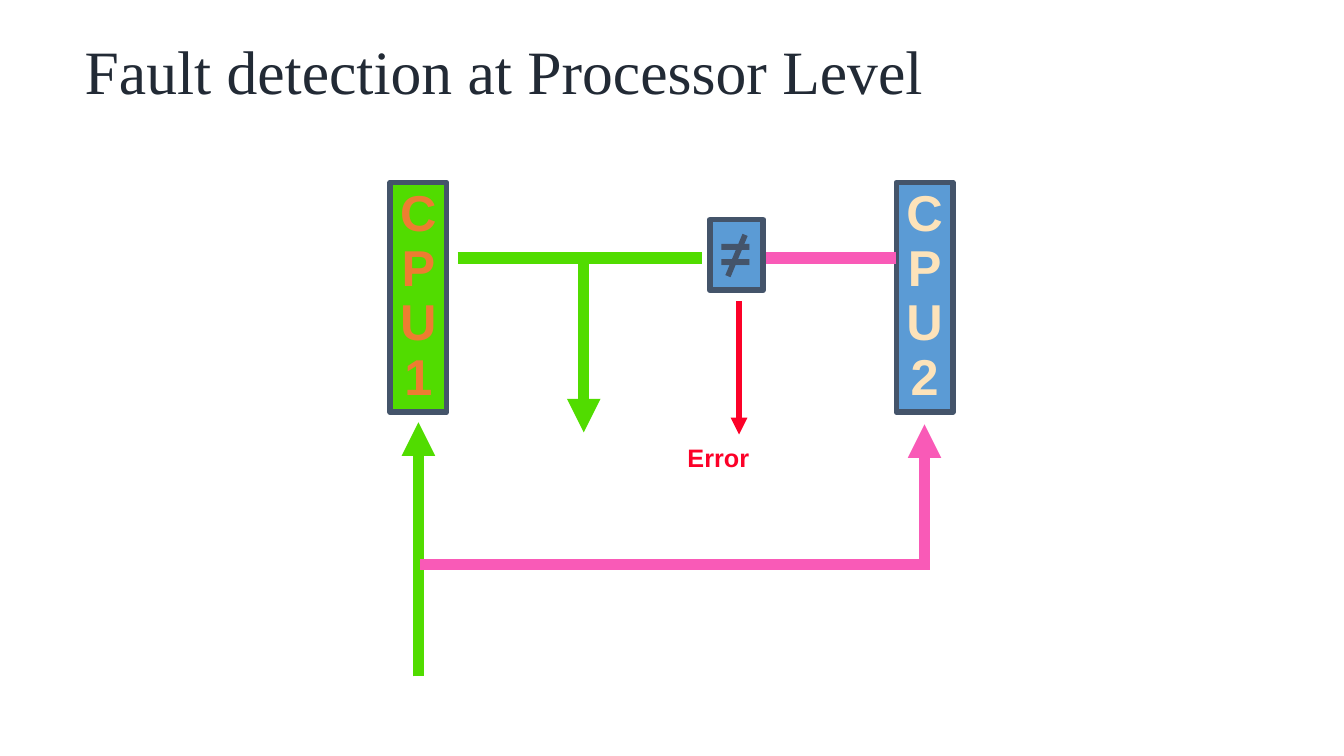
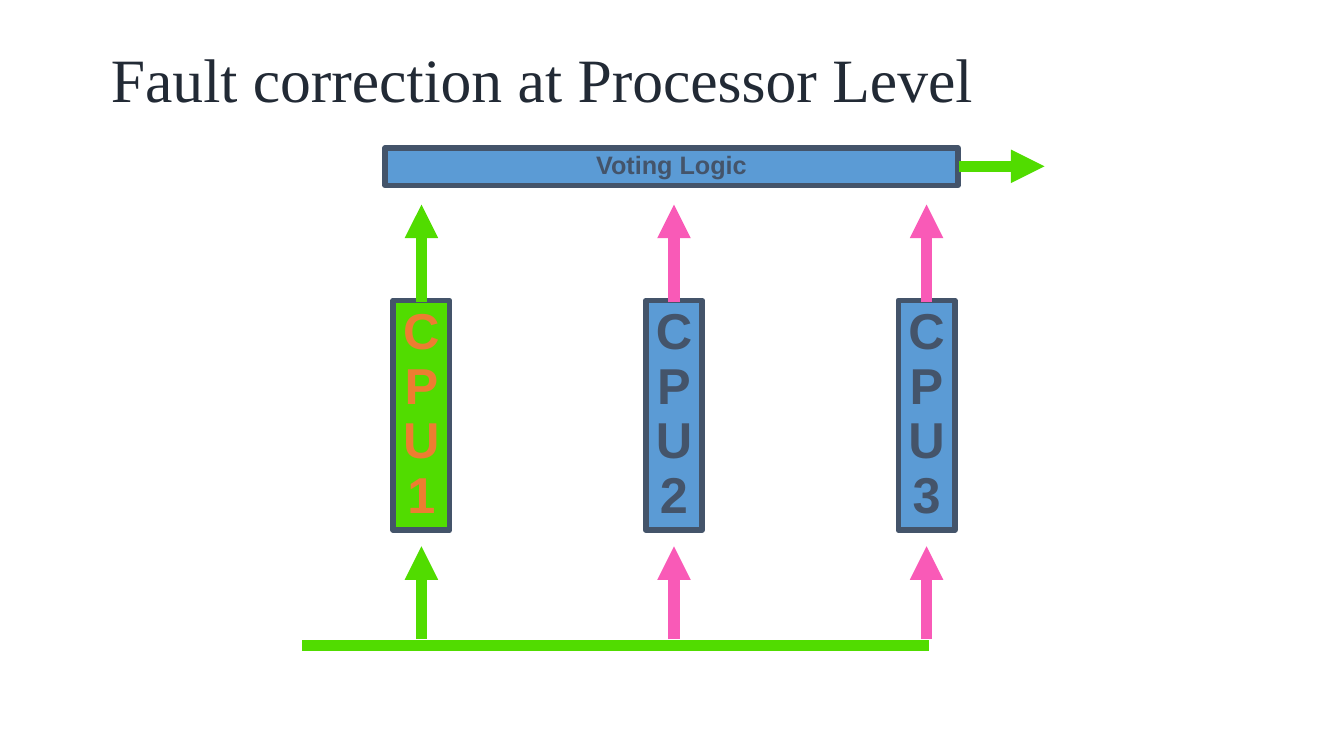
from dataclasses import dataclass
from typing import NamedTuple

from lxml import etree
from pptx import Presentation
from pptx.dml.color import RGBColor
from pptx.enum.shapes import MSO_CONNECTOR, MSO_SHAPE
from pptx.enum.text import MSO_ANCHOR, MSO_AUTO_SIZE, PP_ALIGN
from pptx.oxml.ns import qn
from pptx.util import Inches, Pt

STRAIGHT = MSO_CONNECTOR.STRAIGHT
RECTANGLE = MSO_SHAPE.RECTANGLE
LEFT, CENTER = PP_ALIGN.LEFT, PP_ALIGN.CENTER
MIDDLE = MSO_ANCHOR.MIDDLE
NO_AUTOFIT = MSO_AUTO_SIZE.NONE
TITLE_ONLY = 5


@dataclass(frozen=True)
class Theme:
    green: str = "51DC00"
    pink: str = "F95AB7"
    blue: str = "5B9BD5"
    slate: str = "44546A"
    red: str = "FC0128"
    orange: str = "ED7D31"
    cream: str = "FDE3BA"
    title_ink: str = "222A35"
    title_font: str = "Times New Roman"
    label_font: str = "Arial"
    title_size: int = 44
    symbol_size: int = 40
    cpu_size: int = 36
    label_size: int = 18
    bus_width: int = 8
    outline: int = 4
    line_spacing: float = 0.9


THEME = Theme()
CPU_WIDTH, CPU_HEIGHT = 0.56, 2.28


class Area(NamedTuple):
    left: float
    top: float
    width: float
    height: float


class TextStyle(NamedTuple):
    size: int
    color: str
    font: str = THEME.label_font
    bold: bool = True
    align: PP_ALIGN = CENTER


class Cpu(NamedTuple):
    number: int
    center: float
    fill: str
    ink: str
    signal: str = THEME.green


class Signal(NamedTuple):
    start: tuple[float, float]
    end: tuple[float, float]
    color: str
    arrow: bool = True
    width: int = THEME.bus_width


def rgb(color: str) -> RGBColor:
    return RGBColor.from_string(color)


def write_lines(frame, lines: list[str], style: TextStyle, wrap: bool = False) -> None:
    frame.auto_size = NO_AUTOFIT
    frame.word_wrap = wrap
    frame.vertical_anchor = MIDDLE
    frame.text = "\n".join(lines)
    for paragraph in frame.paragraphs:
        paragraph.alignment = style.align
        paragraph.line_spacing = THEME.line_spacing
        font = paragraph.font
        font.name, font.size, font.bold = style.font, Pt(style.size), style.bold
        font.color.rgb = rgb(style.color)


def add_titled_slide(deck, heading: str, area: Area):
    slide = deck.slides.add_slide(deck.slide_layouts[TITLE_ONLY])
    title = slide.shapes.title
    title.left, title.top, title.width, title.height = map(Inches, area)
    frame = title.text_frame
    frame.margin_left = frame.margin_right = Inches(0.05)
    frame.margin_top = frame.margin_bottom = Inches(0.02)
    style = TextStyle(THEME.title_size, THEME.title_ink, THEME.title_font, False, LEFT)
    write_lines(frame, [heading], style, wrap=True)
    return slide


def add_block(slide, area: Area, fill: str, lines: list[str], style: TextStyle) -> None:
    block = slide.shapes.add_shape(RECTANGLE, *map(Inches, area))
    block.shadow.inherit = False
    block.fill.solid()
    block.fill.fore_color.rgb = rgb(fill)
    block.line.color.rgb = rgb(THEME.slate)
    block.line.width = Pt(THEME.outline)
    write_lines(block.text_frame, lines, style)


def add_cpu(slide, cpu: Cpu, top: float) -> None:
    area = Area(cpu.center - CPU_WIDTH / 2, top, CPU_WIDTH, CPU_HEIGHT)
    letters = list(f"CPU{cpu.number}")
    add_block(slide, area, cpu.fill, letters, TextStyle(THEME.cpu_size, cpu.ink))


def add_signal(slide, signal: Signal) -> None:
    ends = map(Inches, (*signal.start, *signal.end))
    connector = slide.shapes.add_connector(STRAIGHT, *ends)
    connector.line.color.rgb = rgb(signal.color)
    connector.line.width = Pt(signal.width)
    properties = connector.element.spPr
    if signal.arrow:
        etree.SubElement(properties.find(qn("a:ln")), qn("a:tailEnd"), type="triangle")
    etree.SubElement(properties, qn("a:effectLst"))


def build_detection(deck) -> None:
    slide = add_titled_slide(
        deck, "Fault detection at Processor Level", Area(0.79, 0.38, 9.26, 0.71))
    first = Cpu(1, 4.15, THEME.green, THEME.orange)
    second = Cpu(2, 9.17, THEME.blue, THEME.cream, THEME.pink)
    for cpu in (first, second):
        add_cpu(slide, cpu, 1.81)

    # Shared input, branching to the second processor
    branch_y, output_y = 5.6, 2.56
    add_signal(slide, Signal((first.center, 6.71), (first.center, 4.19), first.signal))
    add_signal(slide, Signal((second.center, branch_y), (second.center, 4.21), second.signal))
    add_signal(slide, Signal((4.17, branch_y), (9.22, branch_y), second.signal, arrow=False))

    # Comparator, its two inputs, the output and the error signal
    add_block(slide, Area(7.04, 2.18, 0.53, 0.7), THEME.blue, ["="],
              TextStyle(THEME.symbol_size, THEME.slate, align=LEFT))
    for signal in (
        Signal((4.54, output_y), (6.96, output_y), first.signal, arrow=False),
        Signal((8.89, output_y), (7.6, output_y), second.signal, arrow=False),
        Signal((5.79, 2.61), (5.79, 4.29), first.signal),
        Signal((7.33, 2.99), (7.33, 4.31), THEME.red, width=THEME.outline),
    ):
        add_signal(slide, signal)
    error = slide.shapes.add_textbox(*map(Inches, Area(6.72, 4.37, 0.82, 0.37)))
    write_lines(error.text_frame, ["Error"],
                TextStyle(THEME.label_size, THEME.red, align=LEFT))

    # Stroke that turns the equals sign into "not equal"
    add_signal(slide, Signal((7.39, 2.33), (7.22, 2.74), THEME.slate,
                             arrow=False, width=THEME.outline))


def build_correction(deck) -> None:
    slide = add_titled_slide(
        deck, "Fault correction at Processor Level", Area(1.05, 0.46, 9.14, 0.71))
    first_center, last_center = 4.18, 9.19
    pitch = (last_center - first_center) / 2
    cpus = [Cpu(1, first_center, THEME.green, THEME.orange)] + [
        Cpu(number, first_center + (number - 1) * pitch,
            THEME.blue, THEME.slate, THEME.pink)
        for number in (2, 3)
    ]

    # Processors, each fed from the rail and sending a vote
    for cpu in cpus:
        add_cpu(slide, cpu, 2.98)
        for start_y, end_y in ((6.34, 5.42), (3.0, 2.03)):
            add_signal(slide, Signal((cpu.center, start_y), (cpu.center, end_y), cpu.signal))

    # Input rail, voter and its output
    add_signal(slide, Signal((3, 6.4), (9.21, 6.4), THEME.green, arrow=False))
    add_block(slide, Area(3.82, 1.47, 5.68, 0.37), THEME.blue, ["Voting Logic"],
              TextStyle(THEME.label_size, THEME.slate))
    add_signal(slide, Signal((9.51, 1.65), (10.36, 1.65), THEME.green))


def main() -> None:
    deck = Presentation()
    deck.slide_width, deck.slide_height = Inches(13.33), Inches(7.5)
    build_detection(deck)
    build_correction(deck)
    deck.save("out.pptx")


if __name__ == "__main__":
    main()
